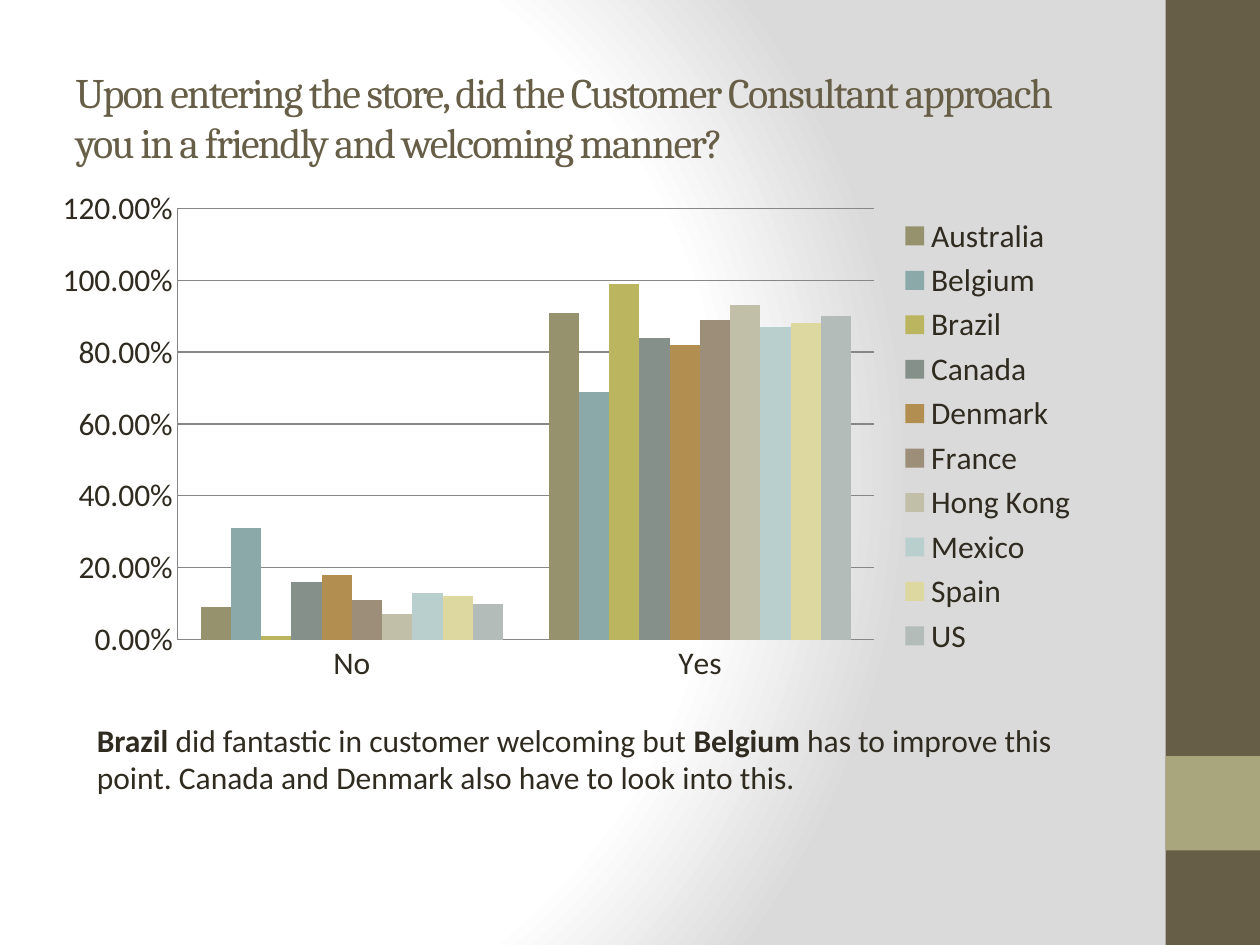
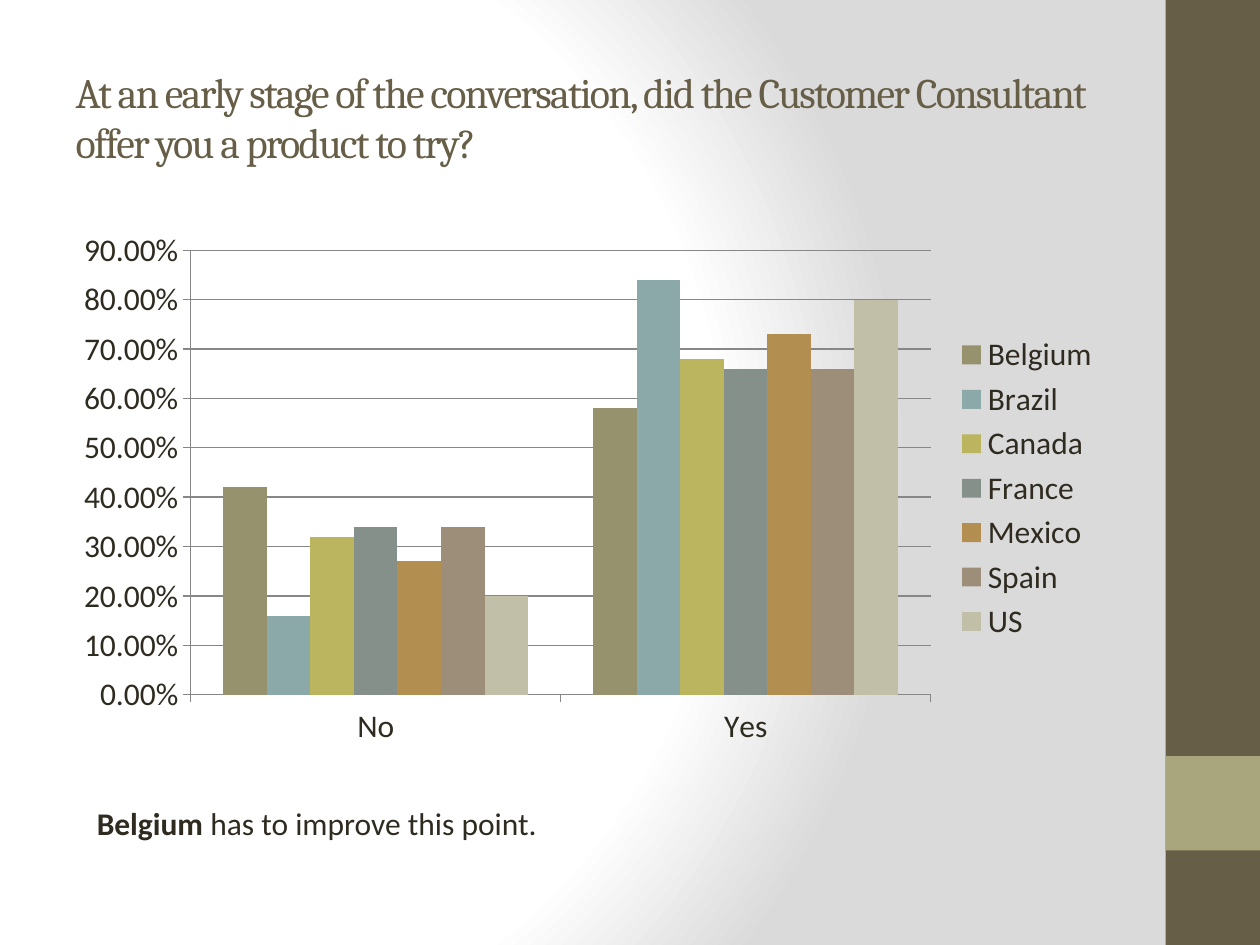
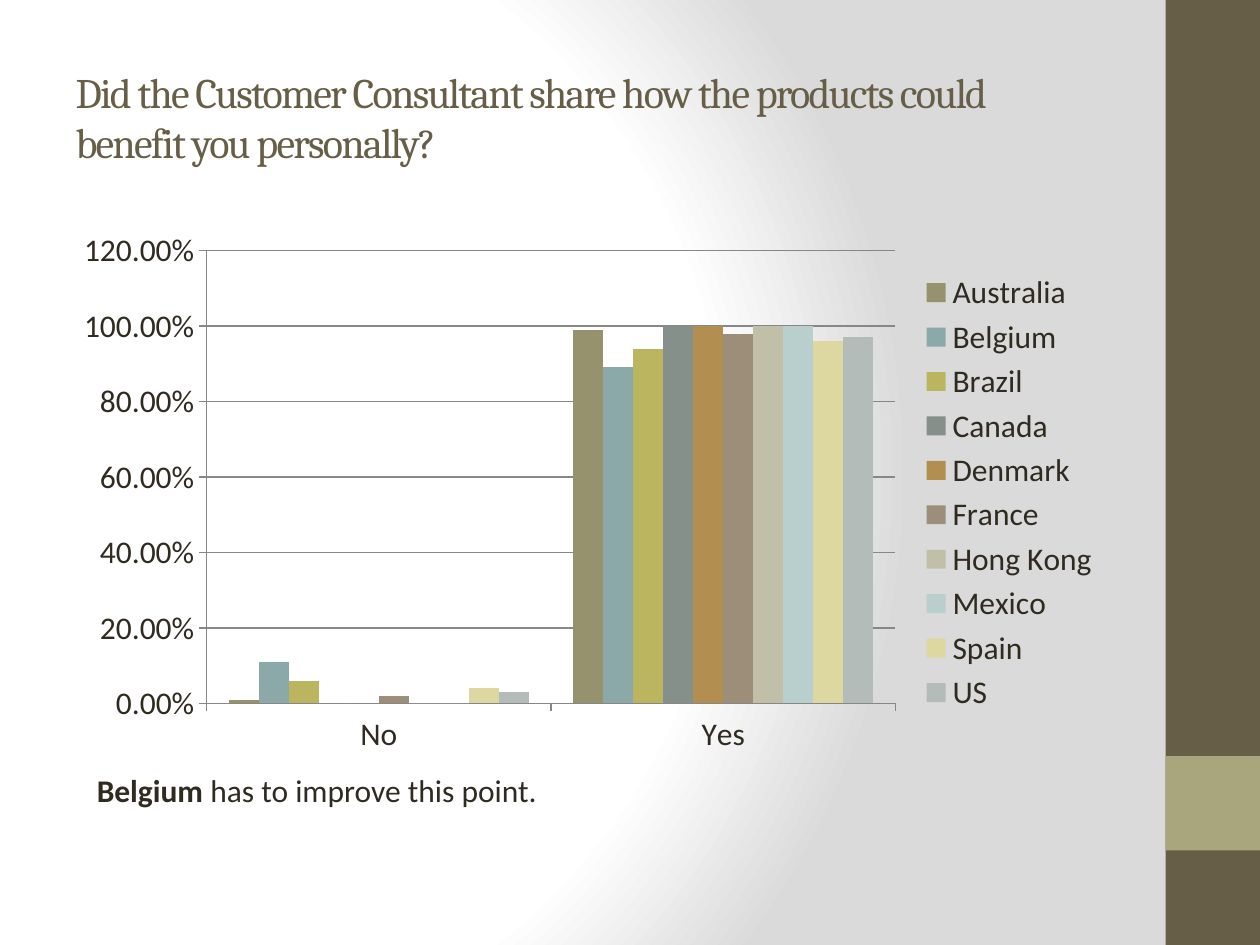
"""Builds three survey slides, each with a question, a column chart by country and a finding."""
from dataclasses import dataclass

from pptx import Presentation
from pptx.chart.data import CategoryChartData
from pptx.dml.color import RGBColor
from pptx.enum.chart import XL_CHART_TYPE, XL_LEGEND_POSITION, XL_TICK_MARK
from pptx.enum.shapes import MSO_SHAPE
from pptx.enum.text import MSO_ANCHOR, MSO_AUTO_SIZE, PP_ALIGN
from pptx.oxml import parse_xml
from pptx.oxml.ns import nsdecls
from pptx.util import Inches, Pt

COLUMNS = XL_CHART_TYPE.COLUMN_CLUSTERED
LEGEND_RIGHT = XL_LEGEND_POSITION.RIGHT
TICK_NONE, TICK_OUT = XL_TICK_MARK.NONE, XL_TICK_MARK.OUTSIDE
RECTANGLE = MSO_SHAPE.RECTANGLE
MIDDLE, LEFT = MSO_ANCHOR.MIDDLE, PP_ALIGN.LEFT
NO_AUTOFIT, GROW = MSO_AUTO_SIZE.NONE, MSO_AUTO_SIZE.SHAPE_TO_FIT_TEXT


@dataclass(frozen=True)
class Theme:
    """Colours, fonts and type sizes."""
    olive: str = "675E47"
    sage: str = "A9A57C"
    text: str = "2F2B20"
    grid: str = "878787"
    white: str = "FFFFFF"
    grey: str = "DADADA"
    series: tuple = ("96926D", "8BA9A8", "BBB55F", "849089", "B28E51",
                     "9D8E79", "C2BFA8", "B9CFCE", "DDD89F", "B4BCB9")
    title_font: str = "Cambria"
    body_font: str = "Calibri"
    title_size: int = 24
    body_size: int = 18


THEME = Theme()

ANSWERS = ("No", "Yes")
TITLE_BOX = (0.5, 0.3, 8.33, 1.25)
BANDS = [((9.25, 0, 0.75, 7.5), THEME.olive), ((9.25, 6, 0.75, 0.75), THEME.sage)]
SLIDES = [
    {
        "title": "Upon entering the store, did the Customer Consultant approach "
                 "you in a friendly and welcoming manner?",
        "chart_box": (0.33, 1.42, 8.33, 4.08),
        "tick": TICK_NONE, "top": 1.2, "step": 0.2,
        "shares": {
            "Australia": (0.09, 0.91), "Belgium": (0.31, 0.69), "Brazil": (0.01, 0.99),
            "Canada": (0.16, 0.84), "Denmark": (0.18, 0.82), "France": (0.11, 0.89),
            "Hong Kong": (0.07, 0.93), "Mexico": (0.13, 0.87), "Spain": (0.12, 0.88),
            "US": (0.1, 0.9),
        },
        "finding_box": (0.67, 5.67, 8.33, 0.71),
        "finding": [("Brazil ", True), ("did fantastic in customer welcoming but ", False),
                    ("Belgium", True),
                    (" has to improve this point. Canada and Denmark also have to "
                     "look into this.", False)],
    },
    {
        "title": "At an early stage of the conversation, did the Customer Consultant "
                 "offer you a product to try?",
        "chart_box": (0.5, 1.75, 8.33, 4.25),
        "tick": TICK_OUT, "top": 0.9, "step": 0.1,
        "shares": {
            "Belgium": (0.42, 0.58), "Brazil": (0.16, 0.84), "Canada": (0.32, 0.68),
            "France": (0.34, 0.66), "Mexico": (0.27, 0.73), "Spain": (0.34, 0.66),
            "US": (0.2, 0.8),
        },
        "finding_box": (0.67, 6.33, 8.33, 0.4),
        "finding": [("Belgium", True), (" has to improve this point.", False)],
    },
    {
        "title": "Did the Customer Consultant share how the products could "
                 "benefit you personally?",
        "chart_box": (0.5, 1.75, 8.33, 4.32),
        "tick": TICK_OUT, "top": 1.2, "step": 0.2,
        "shares": {
            "Australia": (0.01, 0.99), "Belgium": (0.11, 0.89), "Brazil": (0.06, 0.94),
            "Canada": (0, 1), "Denmark": (0, 1), "France": (0.02, 0.98),
            "Hong Kong": (0, 1), "Mexico": (0, 1), "Spain": (0.04, 0.96),
            "US": (0.03, 0.97),
        },
        "finding_box": (0.67, 6.07, 8.33, 0.4),
        "finding": [("Belgium", True), (" has to improve this point.", False)],
    },
]


def rgb(value):
    return RGBColor.from_string(value)


def inches(box):
    return [Inches(n) for n in box]


def set_font(font, name, size, color):
    font.name, font.size = name, Pt(size)
    font.color.rgb = rgb(color)


def set_background(master):
    master.background.fill.solid()
    bg_pr = master.element.cSld.bg.bgPr
    stops = "".join(
        f'<a:gs pos="{pos * 1000}"><a:srgbClr val="{color}"/></a:gs>'
        for pos, color in ((0, THEME.white), (75, THEME.white), (100, THEME.grey)))
    bg_pr.replace(bg_pr[0], parse_xml(
        f'<a:gradFill {nsdecls("a")} rotWithShape="1"><a:gsLst>{stops}</a:gsLst>'
        '<a:path path="circle"><a:fillToRect l="20000" t="50000" r="100000" b="50000"/>'
        '</a:path></a:gradFill>'))


def move_bands_to_master(s, master):
    for i, (box, color) in enumerate(BANDS):
        band = s.shapes.add_shape(RECTANGLE, *inches(box))
        band.shadow.inherit = False
        band.fill.solid()
        band.fill.fore_color.rgb = rgb(color)
        band.line.fill.background()
        master.shapes.element.insert(2 + i, band.element)


def add_title(s, text):
    title = s.shapes.title
    title.left, title.top, title.width, title.height = inches(TITLE_BOX)
    tf = title.text_frame
    tf.auto_size, tf.vertical_anchor = NO_AUTOFIT, MIDDLE
    p = tf.paragraphs[0]
    p.alignment = LEFT
    set_font(p.font, THEME.title_font, THEME.title_size, THEME.olive)
    r = p.add_run()
    r.text = text
    r.font._element.set("spc", "-100")


def add_share_chart(s, content):
    data = CategoryChartData(number_format="0.00%")
    data.categories = ANSWERS
    for country, shares in content["shares"].items():
        data.add_series(country, shares)
    chart = s.shapes.add_chart(COLUMNS, *inches(content["chart_box"]), data).chart
    set_font(chart.font, THEME.body_font, THEME.body_size, THEME.text)
    chart.has_title = False
    chart.has_legend = True
    chart.legend.position = LEGEND_RIGHT
    chart.legend.include_in_layout = False

    plot = chart.plots[0]
    plot.gap_width, plot.overlap, plot.vary_by_categories = 150, 0, False
    for series, color in zip(plot.series, THEME.series):
        series.invert_if_negative = False
        series.format.fill.solid()
        series.format.fill.fore_color.rgb = rgb(color)

    axis = chart.value_axis
    axis.minimum_scale, axis.maximum_scale = 0, content["top"]
    axis.major_unit = content["step"]
    axis.has_major_gridlines = True
    axis.tick_labels.number_format = "0.00%"
    axis.tick_labels.number_format_is_linked = False
    for part in (chart.category_axis, axis):
        part.major_tick_mark, part.minor_tick_mark = content["tick"], TICK_NONE
    for part in (chart.category_axis, axis, axis.major_gridlines):
        part.format.line.color.rgb = rgb(THEME.grid)
        part.format.line.width = Pt(0.75)


def add_finding(s, box, runs):
    tf = s.shapes.add_textbox(*inches(box)).text_frame
    tf.word_wrap, tf.auto_size = True, GROW
    p = tf.paragraphs[0]
    set_font(p.font, THEME.body_font, THEME.body_size, THEME.text)
    for text, bold in runs:
        r = p.add_run()
        r.text, r.font.bold = text, bold


def main():
    prs = Presentation()
    prs.slide_width, prs.slide_height = Inches(10), Inches(7.5)
    set_background(prs.slide_master)
    title_only = prs.slide_layouts[5]
    for content in SLIDES:
        s = prs.slides.add_slide(title_only)
        add_title(s, content["title"])
        add_share_chart(s, content)
        add_finding(s, content["finding_box"], content["finding"])
    move_bands_to_master(s, prs.slide_master)
    prs.save("out.pptx")


if __name__ == "__main__":
    main()
